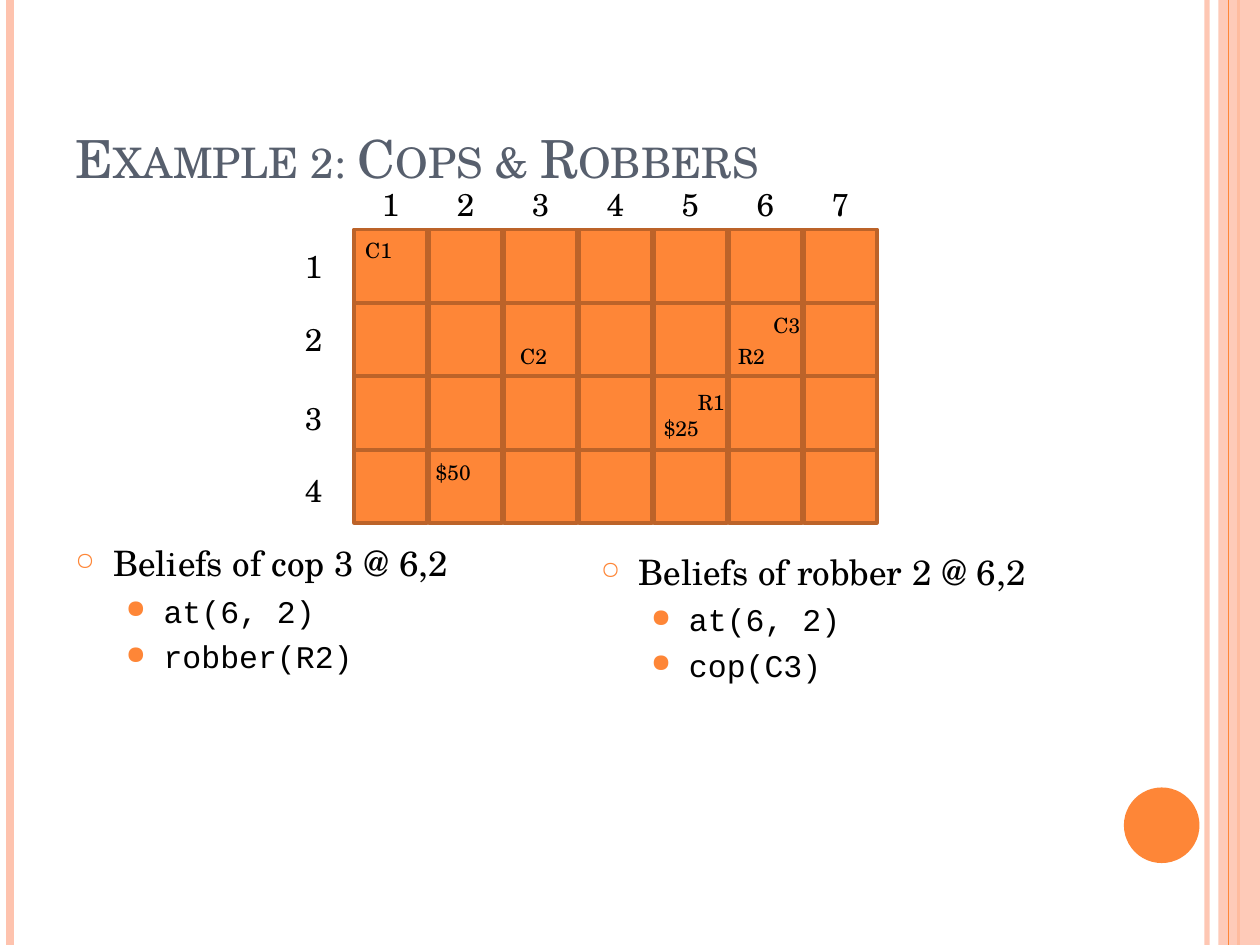
"""Build the cops and robbers example slide."""
from lxml import etree
from pptx import Presentation
from pptx.dml.color import RGBColor
from pptx.enum.shapes import MSO_CONNECTOR, MSO_SHAPE
from pptx.enum.text import MSO_ANCHOR, MSO_AUTO_SIZE, PP_ALIGN
from pptx.oxml.ns import qn
from pptx.util import Inches, Pt

STRAIGHT = MSO_CONNECTOR.STRAIGHT
RECTANGLE, OVAL = MSO_SHAPE.RECTANGLE, MSO_SHAPE.OVAL
BOTTOM, FIT = MSO_ANCHOR.BOTTOM, MSO_AUTO_SIZE.SHAPE_TO_FIT_TEXT
CENTER = PP_ALIGN.CENTER

THEME = {
    "accent": "FE8637", "pale": "FEC3AE", "edge": "BC6329",
    "heading": "575F6D", "ink": "000000",
    "serif": "TeX Gyre Schola", "mono": "Courier New",
    "title": 30, "body": 20, "code": 18, "label": 18, "piece": 12,
}

TITLE = "Example 2: Cops & Robbers"
BELIEFS = [
    (0.5, 4.25, "Beliefs of cop 3 @ 6,2", ["at(6, 2)", "robber(R2)"]),
    (4.67, 4.32, "Beliefs of robber 2 @ 6,2", ["at(6, 2)", "cop(C3)"]),
]
PIECES = [
    ("C1", 2.8, 1.84), ("C3", 6.04, 2.43), ("C2", 4.03, 2.68),
    ("R1", 5.44, 3.04), ("$25", 5.17, 3.25), ("R2", 5.76, 2.68),
    ("$50", 3.36, 3.6),
]
PIECE_WIDTHS = {2: 0.42, 3: 0.48}
ROW_LABEL_TOPS = [1.91, 2.49, 3.12, 3.69]
COLUMNS, ROWS, CELL = 7, 4, 0.58
BOARD_LEFT, BOARD_TOP = 2.81, 1.82
COLUMN_STEP, ROW_STEP = 3.57 / 6, 1.75 / 3
BULLETS = [("○", 70, 0.3), ("●", 80, 0.7)]


def color(name):
    return RGBColor.from_string(THEME[name])


def set_alpha(fill_owner, percent):
    swatch = next(fill_owner.iter(qn("a:srgbClr")))
    etree.SubElement(swatch, qn("a:alpha"), val=str(percent * 1000))


def add_rule(page, x, name, width, alpha=None):
    rule = page.shapes.add_connector(STRAIGHT, Inches(x), 0, Inches(x), Inches(7.5))
    rule.line.color.rgb = color(name)
    rule.line.width = Pt(width)
    if alpha:
        set_alpha(rule.line._get_or_add_ln(), alpha)
    etree.SubElement(rule._element.spPr, qn("a:effectLst"))


def add_block(shapes, kind, at, name, edge=None):
    block = shapes.add_shape(kind, *map(Inches, at))
    block.shadow.inherit = False
    block.fill.solid()
    block.fill.fore_color.rgb = color(name)
    if edge:
        block.line.color.rgb = color(edge)
        block.line.width = Pt(2)
    else:
        block.line.fill.background()
    return block


def style(para, size, ink="ink", face="serif"):
    para.font.size = Pt(THEME[size])
    para.font.name = THEME[face]
    para.font.color.rgb = color(ink)


def add_text(shapes, text, at, size, ink="ink", wrap=True):
    box = shapes.add_textbox(*map(Inches, at))
    box.text_frame.word_wrap = wrap
    para = box.text_frame.paragraphs[0]
    para.text = text
    style(para, size, ink)
    return box.text_frame


def add_label(shapes, text, left, top):
    frame = add_text(shapes, text, (left, top, CELL, 0.4), "label")
    frame.auto_size = FIT
    frame.paragraphs[0].alignment = CENTER


def add_bullet(para, level):
    mark, percent, margin = BULLETS[level]
    para.level = level
    props = para._p.get_or_add_pPr()
    props.set("marL", str(Inches(margin)))
    props.set("indent", str(Inches(-0.3)))
    tint = etree.SubElement(props, qn("a:buClr"))
    etree.SubElement(tint, qn("a:srgbClr"), val=THEME["accent"])
    etree.SubElement(props, qn("a:buSzPct"), val=str(percent * 1000))
    etree.SubElement(props, qn("a:buChar"), char=mark)


def add_beliefs(page, left, top, heading, facts):
    box = page.shapes.add_textbox(Inches(left), Inches(top), Inches(4), Inches(2.5))
    frame = box.text_frame
    frame.word_wrap = True
    first = frame.paragraphs[0]
    first.text = heading
    add_bullet(first, 0)
    style(first, "body")
    for fact in facts:
        para = frame.add_paragraph()
        para.text = fact
        add_bullet(para, 1)
        para.space_before = Pt(4.5)
        style(para, "code", face="mono")


def add_frame(page):
    add_rule(page, 9.58, "pale", 3, 93)
    add_rule(page, 0.08, "pale", 4.5)
    add_rule(page, 9.83, "accent", 1.5)
    band = add_block(page.shapes, RECTANGLE, (9.67, 0, 0.33, 7.5), "pale")
    set_alpha(band._element.spPr, 87)
    add_rule(page, 9.75, "accent", 0.75)
    add_block(page.shapes, OVAL, (8.92, 6.25, 0.6, 0.6), "accent")


def add_board(page):
    board = page.shapes.add_group_shape().shapes
    lefts = [BOARD_LEFT + column * COLUMN_STEP for column in range(COLUMNS)]
    for row in range(ROWS):
        for left in lefts:
            at = (left, BOARD_TOP + row * ROW_STEP, CELL, CELL)
            add_block(board, RECTANGLE, at, "accent", "edge")
    for number, left in enumerate(lefts, 1):
        add_label(board, str(number), left, 1.42)
    for number, top in enumerate(ROW_LABEL_TOPS, 1):
        add_label(board, str(number), 2.2, top)
    for name, left, top in PIECES:
        at = (left, top, PIECE_WIDTHS[len(name)], 0.3)
        add_text(board, name, at, "piece", wrap=False).auto_size = FIT


def main():
    deck = Presentation()
    deck.slide_width, deck.slide_height = Inches(10), Inches(7.5)
    page = deck.slides.add_slide(deck.slide_layouts[6])
    add_frame(page)
    title = add_text(page.shapes, TITLE, (0.5, 0.3, 8.17, 1.25), "title", "heading")
    title.vertical_anchor = BOTTOM
    title.paragraphs[0].runs[0].font._element.set("cap", "small")
    for belief in BELIEFS:
        add_beliefs(page, *belief)
    add_board(page)
    deck.save("out.pptx")


if __name__ == "__main__":
    main()
